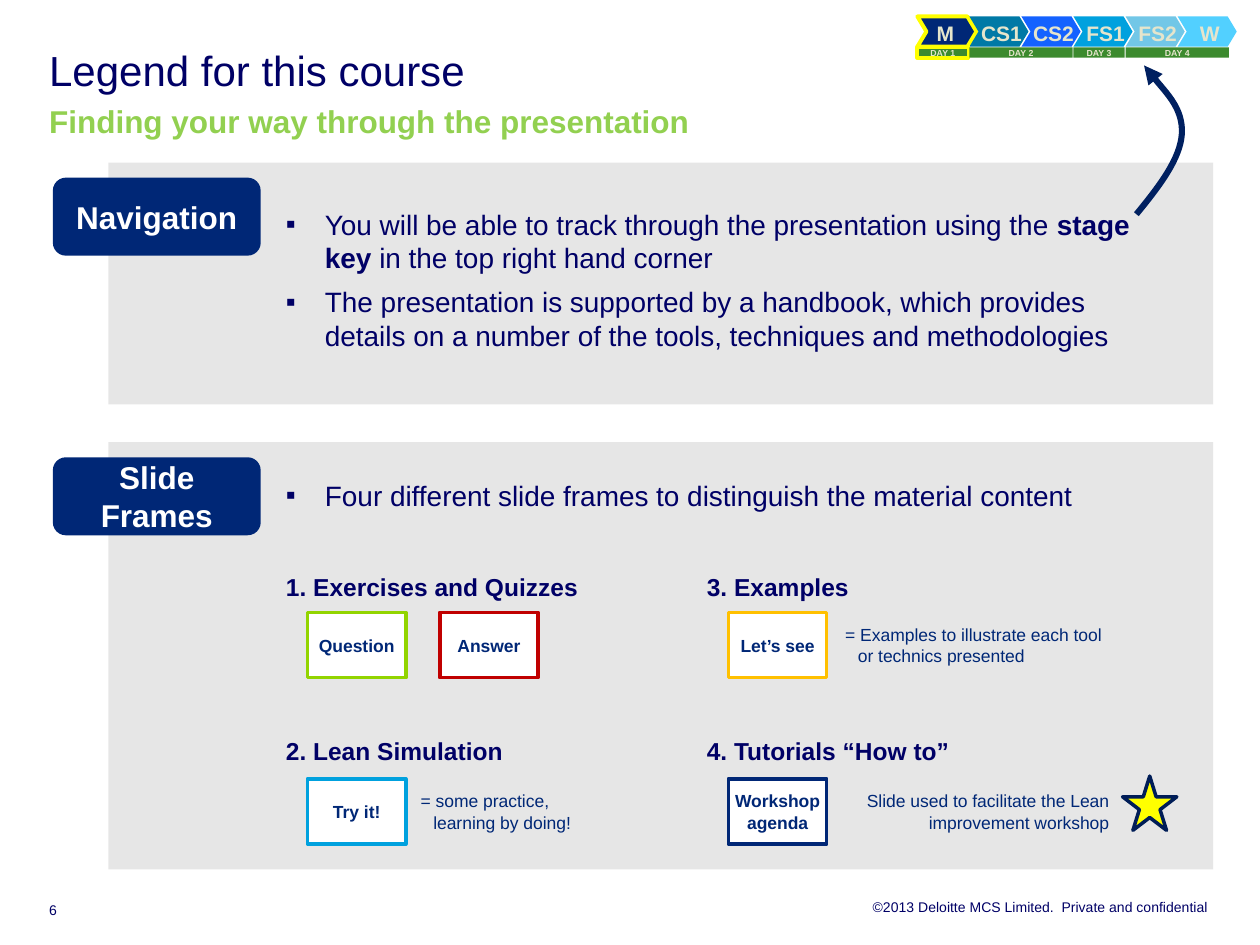
from lxml import etree
from pptx import Presentation
from pptx import util as u
from pptx.dml import color
from pptx.enum import shapes, text
from pptx.oxml import ns

Pt = u.Pt
SHAPE = shapes.MSO_SHAPE
LEFT, CENTER, RIGHT = text.PP_ALIGN.LEFT, text.PP_ALIGN.CENTER, text.PP_ALIGN.RIGHT
TOP, MIDDLE, BOTTOM = text.MSO_ANCHOR.TOP, text.MSO_ANCHOR.MIDDLE, text.MSO_ANCHOR.BOTTOM

INK, NAVY, CREAM, WHITE = "000066", "002776", "E5E5CC", "FFFFFF"
YELLOW, GREEN = "FFFF00", "3C8A2E"
NO_INSET = (0, 0, 0, 0)
BODY_INSET = (14.4, 0, 8.6, 0)


def rgb(value):
    return color.RGBColor.from_string(value)


def add(parent, tag, **attrs):
    return etree.SubElement(parent, ns.qn(tag), attrs)


class Deck:
    """Holds the type style and the slide being drawn on."""

    def __init__(self, slide, font="Arial"):
        self.s, self.font = slide, font

    def set_font(self, font, size, hue, bold=False):
        font.name, font.size, font.bold = self.font, Pt(size), bold
        font.color.rgb = rgb(hue)

    def set_text(self, sp, paras, size, hue, bold=False, align=LEFT, anchor=MIDDLE,
                 inset=(7.2, 3.6, 7.2, 3.6), wrap=True, spacing=None, after=None,
                 before=0, indents=None, bullet=None):
        """Fill a shape; a paragraph is a string or a list of (text, bold) runs."""
        tf = sp.text_frame
        tf.word_wrap, tf.vertical_anchor = wrap, anchor
        (tf.margin_left, tf.margin_top,
         tf.margin_right, tf.margin_bottom) = [Pt(v) for v in inset]
        for i, para in enumerate(paras):
            p = tf.paragraphs[0] if i == 0 else tf.add_paragraph()
            p.alignment = align
            if spacing:
                p.line_spacing = spacing
            if before and i:
                p.space_before = Pt(before)
            if after:
                p.space_after = Pt(after)
            pPr = p._p.get_or_add_pPr()
            if indents:
                margin, first = indents[i]
                pPr.set("marL", str(Pt(margin)))
                pPr.set("indent", str(Pt(first)))
            if bullet:
                add(add(pPr, "a:buClr"), "a:srgbClr", val=hue)
                add(pPr, "a:buFont", typeface=self.font)
                add(pPr, "a:buChar", char=bullet)
            self.set_font(p.font, size, hue, bold)
            for words, strong in [(para, bold)] if isinstance(para, str) else para:
                r = p.add_run()
                r.text = words
                if strong != bold:
                    r.font.bold = strong

    def label(self, box, paras, size, hue, **style):
        sp = self.s.shapes.add_textbox(*[Pt(v) for v in box])
        self.set_text(sp, paras, size, hue, **style)

    def shape(self, kind, box, fill, line=None, width=2, alpha=None, adjust=None):
        sp = self.s.shapes.add_shape(kind, *[Pt(v) for v in box])
        sp.shadow.inherit = False
        sp.fill.solid()
        sp.fill.fore_color.rgb = rgb(fill)
        if alpha:
            clr = sp._element.spPr.find(".//" + ns.qn("a:srgbClr"))
            add(clr, "a:alpha", val=str(alpha * 1000))
        if line:
            sp.line.color.rgb = rgb(line)
            sp.line.width = Pt(width)
        else:
            sp.line.fill.background()
        if adjust:
            sp.adjustments[0] = adjust
        return sp

    def title(self, box, heading, subtitle):
        tf = self.s.shapes.add_textbox(*[Pt(v) for v in box]).text_frame
        tf.word_wrap = True
        tf.margin_left = tf.margin_top = tf.margin_right = tf.margin_bottom = 0
        p = tf.paragraphs[0]
        p.line_spacing = Pt(26)
        r = p.add_run()
        r.text = heading
        self.set_font(r.font, 24, INK)
        p.add_line_break()
        r = p.add_run()
        r.text = subtitle
        self.set_font(r.font, 18, "92D050", True)

    def panel(self, top, height, name):
        self.shape(SHAPE.RECTANGLE, (61.9, top, 631.4, height), "BFBFBF", alpha=38)
        tag = self.shape(SHAPE.ROUNDED_RECTANGLE, (30.2, top + 8.6, 118.8, 44.6), NAVY)
        self.set_text(tag, [name], 18, WHITE, bold=True, align=CENTER)

    def bullets(self, box, paras):
        self.label(box, paras, 16, INK, inset=BODY_INSET, before=6, bullet="▪",
                   indents=[(22.3, -22.3)] * len(paras))

    def heading(self, left, top, words):
        self.label((left, top, 283, 38.2), [words], 14, INK, bold=True,
                   inset=BODY_INSET, spacing=1.5, after=3.5)

    def frame(self, left, top, words, line, side=5.8):
        sp = self.shape(SHAPE.RECTANGLE, (left, top, 56.2, 37.4), WHITE, line)
        self.set_text(sp, [words], 10, NAVY, bold=True, align=CENTER,
                      inset=(side, 3.6, side, 3.6))

    def curved_arrow(self, points, hue, width):
        """Draw cubic curves through points: a start, then three per curve."""
        pts = [(Pt(x), Pt(y)) for x, y in points]
        fb = self.s.shapes.build_freeform(*pts[0])
        fb.add_line_segments(pts[1:], close=False)
        sp = fb.convert_to_shape()
        sp.shadow.inherit = False
        sp.fill.background()
        sp.line.color.rgb = rgb(hue)
        sp.line.width = Pt(width)
        add(sp._element.spPr.find(ns.qn("a:ln")), "a:tailEnd", type="triangle")
        outline = sp._element.find(".//" + ns.qn("a:path"))
        steps = outline.findall(ns.qn("a:lnTo"))
        for i in range(0, len(steps), 3):
            curve = add(outline, "a:cubicBezTo")
            for step in steps[i:i + 3]:
                curve.append(step[0])
                outline.remove(step)

    def stage_key(self, left, top, pitch):
        stages = [("M", NAVY), ("CS1", "0079A6"), ("CS2", "1462FF"),
                  ("FS1", "00A1DE"), ("FS2", "72C7E7"), ("W", "52D0FF")]
        for i, (name, fill) in enumerate(stages):
            current = i == 0
            sp = self.shape(SHAPE.CHEVRON, (left + i * pitch, top, 33.8, 17.3), fill,
                            YELLOW if current else None, 2.25, adjust=0.3)
            self.set_text(sp, [name], 12, CREAM, bold=True, wrap=False, spacing=1.1,
                          align=LEFT if current else CENTER,
                          inset=(5.8, 4.3, 0, 4.3) if current else (14.4, 4.3, 11.5, 4.3))
        for day, (start, span) in enumerate([(0, 1), (1, 2), (3, 1), (4, 2)], 1):
            box = (left + start * pitch, top + 17.7, span * pitch - 0.5, 5.8)
            sp = self.shape(SHAPE.RECTANGLE, box, GREEN,
                            YELLOW if day == 1 else None, 2.25)
            self.set_text(sp, [f"DAY {day}"], 5, CREAM, bold=True, align=CENTER,
                          anchor=TOP, inset=(2.9, 0, 2.9, 0))


def main():
    prs = Presentation()
    prs.slide_width, prs.slide_height = Pt(720), Pt(540)
    d = Deck(prs.slides.add_slide(prs.slide_layouts[6]))

    d.label((244.8, 513.4, 445.7, 9.4),
            ["©2013 Deloitte MCS Limited.  Private and confidential"], 8, INK,
            align=RIGHT, anchor=TOP, inset=NO_INSET)
    d.label((28.1, 515.5, 28.1, 9.4), ["6"], 8, INK, anchor=BOTTOM, inset=NO_INSET)
    d.stage_key(524.2, 9.4, 29.75)
    d.title((28.1, 28.1, 663, 49.7), "Legend for this course",
            "Finding your way through the presentation")

    d.panel(92.9, 138.2, "Navigation")
    d.bullets((149, 90.7, 521.3, 138.2), [
        [("You will be able to track through the presentation using the ", False),
         ("stage key ", True), ("in the top right hand corner", False)],
        "The presentation is supported by a handbook, which provides details on "
        "a number of the tools, techniques and methodologies"])
    d.curved_arrow([(649.4, 122.4), (662.4, 106.6), (674.6, 90.7), (675.4, 76.3),
                    (676.1, 61.9), (657.4, 42.5), (653.8, 37.4)], "002060", 3.5)

    d.panel(252.7, 244.1, "Slide Frames")
    d.bullets((149, 252.7, 521.3, 60.5),
              ["Four different slide frames to distinguish the material content"])

    columns, rows = (149, 389.5), (311.8, 405.4)
    titles = [["1. Exercises and Quizzes", "3. Examples"],
              ["2. Lean Simulation", "4. Tutorials “How to”"]]
    for top, names in zip(rows, titles):
        for left, name in zip(columns, names):
            d.heading(left, top, name)

    upper, lower = 349.9, 445
    d.frame(175.7, upper, "Question", "92D400")
    d.frame(251.3, upper, "Answer", "C00000")
    d.frame(175.7, lower, "Try it!", "00A1DE")
    d.frame(416.2, upper, "Let’s see", "FFC000")
    d.frame(416.2, lower, "Workshop agenda", NAVY, side=2.9)

    d.label((475.9, upper, 164.9, 37.4),
            ["= Examples to illustrate each tool or technics presented"], 10, NAVY,
            indents=[(7.2, -7.2)])
    d.label((233.3, lower, 164.9, 37.4), ["= some practice,", "learning by doing!"],
            10, NAVY, indents=[(7.2, -7.2), (7.2, 0)])
    d.label((486.7, lower, 154.1, 37.4),
            ["Slide used to facilitate the Lean improvement workshop"], 10, NAVY,
            align=RIGHT)
    d.shape(SHAPE.STAR_5_POINT, (641.5, 443.5, 31, 31), YELLOW, "001D57")

    prs.save("out.pptx")


if __name__ == "__main__":
    main()
